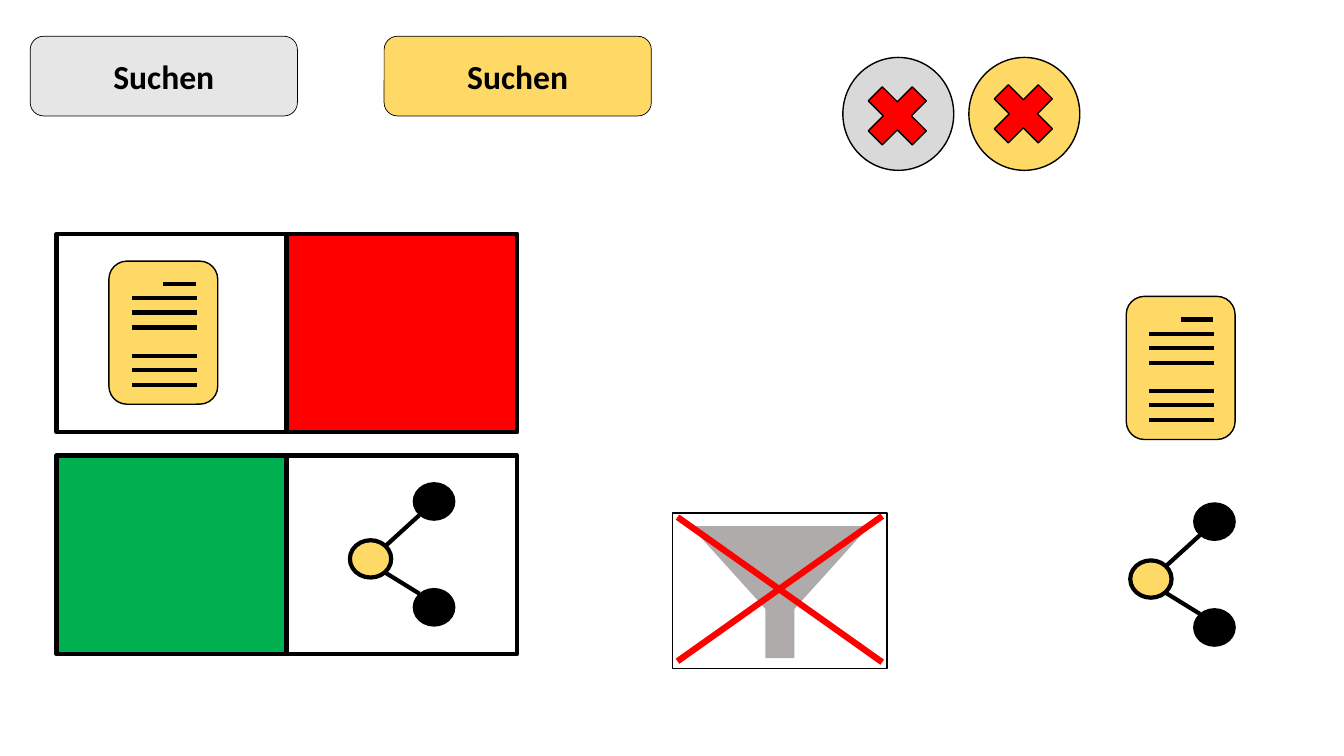
from pptx import Presentation
from pptx.dml.color import RGBColor
from pptx.enum.shapes import MSO_CONNECTOR, MSO_SHAPE as SHAPE
from pptx.enum.text import MSO_ANCHOR, PP_ALIGN
from pptx.oxml.ns import qn
from pptx.util import Inches, Pt
from lxml.etree import SubElement

BLACK = RGBColor(0x00, 0x00, 0x00)
WHITE = RGBColor(0xFF, 0xFF, 0xFF)
RED = RGBColor(0xFF, 0x00, 0x00)
GREEN = RGBColor(0x00, 0xB0, 0x50)
YELLOW = RGBColor(0xFF, 0xD9, 0x66)
BUTTON_GRAY = RGBColor(0xE7, 0xE6, 0xE6)
CIRCLE_GRAY = RGBColor(0xD9, 0xD9, 0xD9)
FUNNEL_GRAY = RGBColor(0xAF, 0xAB, 0xAB)


def write_text(shape, text, size=24, bold=True, color=BLACK, font="Calibri"):
    frame = shape.text_frame
    frame.word_wrap = True
    frame.vertical_anchor = MSO_ANCHOR.MIDDLE
    paragraph = frame.paragraphs[0]
    paragraph.alignment = PP_ALIGN.CENTER
    run = paragraph.add_run()
    run.text = text
    run.font.name, run.font.size, run.font.bold = font, Pt(size), bold
    run.font.color.rgb = color


class IconSheet:
    """Holds the slide, the current group and the line style."""

    thick = 3
    thin = 1

    def __init__(self, slide):
        self.slide = slide
        self.target = slide.shapes

    def start_group(self):
        self.target = self.slide.shapes.add_group_shape().shapes

    def shape(self, kind, left, top, width, height, fill, line=thin):
        shape = self.target.add_shape(
            kind, Inches(left), Inches(top), Inches(width), Inches(height))
        shape.shadow.inherit = False
        shape.fill.solid()
        shape.fill.fore_color.rgb = fill
        if line:
            shape.line.color.rgb = BLACK
            shape.line.width = Pt(line)
        else:
            shape.line.fill.background()
        return shape

    def line(self, start_x, start_y, end_x, end_y, color=BLACK, width=thick):
        line = self.target.add_connector(
            MSO_CONNECTOR.STRAIGHT, Inches(start_x), Inches(start_y),
            Inches(end_x), Inches(end_y))
        line.line.color.rgb = color
        line.line.width = Pt(width)
        SubElement(line._element.spPr, qn("a:effectLst"))

    def button(self, left, fill):
        button = self.shape(SHAPE.ROUNDED_RECTANGLE, left, 0.36, 2.65, 0.79, fill, 0.5)
        write_text(button, "Suchen")

    def close_button(self, left, cross_top, fill):
        self.start_group()
        self.shape(SHAPE.OVAL, left, 0.57, 1.1, 1.12, fill)
        self.shape(SHAPE.MATH_MULTIPLY, left + 0.12, cross_top, 0.84, 0.84, RED)

    def panel(self, left, top, fill):
        self.shape(SHAPE.RECTANGLE, left, top, 2.28, 1.97, fill, self.thick)

    def document(self, left, top):
        self.shape(SHAPE.ROUNDED_RECTANGLE, left, top, 1.08, 1.42, YELLOW)
        self.line(left + 0.54, top + 0.23, left + 0.86, top + 0.23)
        for offset in (0.37, 0.51, 0.66, 0.94, 1.08, 1.23):
            self.line(left + 0.23, top + offset, left + 0.87, top + offset)

    def share(self, left, top):
        def node(x, y, fill, line):
            self.shape(SHAPE.OVAL, left + x, top + y, 0.41, 0.37, fill, line)

        node(0, 0.57, YELLOW, self.thick)
        for node_y, joint_y, end_y in ((0, 0.63, 0.32), (1.05, 0.89, 1.1)):
            self.line(left + 0.35, top + joint_y, left + 0.69, top + end_y)
            node(0.63, node_y, BLACK, self.thin)

    def crossed_funnel(self, left, top):
        self.start_group()
        self.shape(SHAPE.RECTANGLE, left, top, 2.13, 1.54, WHITE)
        self.shape(SHAPE.RECTANGLE, left + 0.92, top + 0.85, 0.29, 0.59, FUNNEL_GRAY, None)
        cone = self.shape(SHAPE.ISOSCELES_TRIANGLE, left + 0.18, top + 0.13,
                          1.77, 0.98, FUNNEL_GRAY, None)
        cone.rotation = 180
        for start_y, end_y in ((0.04, 1.48), (1.47, 0.03)):
            self.line(left + 0.05, top + start_y, left + 2.08, top + end_y, RED, 4.5)


presentation = Presentation()
presentation.slide_width, presentation.slide_height = Inches(13.33), Inches(7.5)
sheet = IconSheet(presentation.slides.add_slide(presentation.slide_layouts[6]))

# Search buttons and close buttons, idle and active
sheet.button(0.3, BUTTON_GRAY)
sheet.button(3.81, YELLOW)
sheet.close_button(8.36, 0.73, CIRCLE_GRAY)
sheet.close_button(9.61, 0.71, YELLOW)

# Switch with document icon
LEFT_PANEL, RIGHT_PANEL = 0.56, 2.85
sheet.start_group()
sheet.panel(LEFT_PANEL, 2.32, WHITE)
sheet.panel(RIGHT_PANEL, 2.32, RED)
sheet.document(1.08, 2.59)

# Switch with share icon
sheet.start_group()
sheet.panel(RIGHT_PANEL, 4.52, WHITE)
sheet.panel(LEFT_PANEL, 4.52, GREEN)
sheet.share(3.47, 4.79)

# Single icons
sheet.start_group()
sheet.document(11.17, 2.94)
sheet.start_group()
sheet.share(11.21, 4.99)
sheet.crossed_funnel(6.67, 5.09)

presentation.save("out.pptx")
